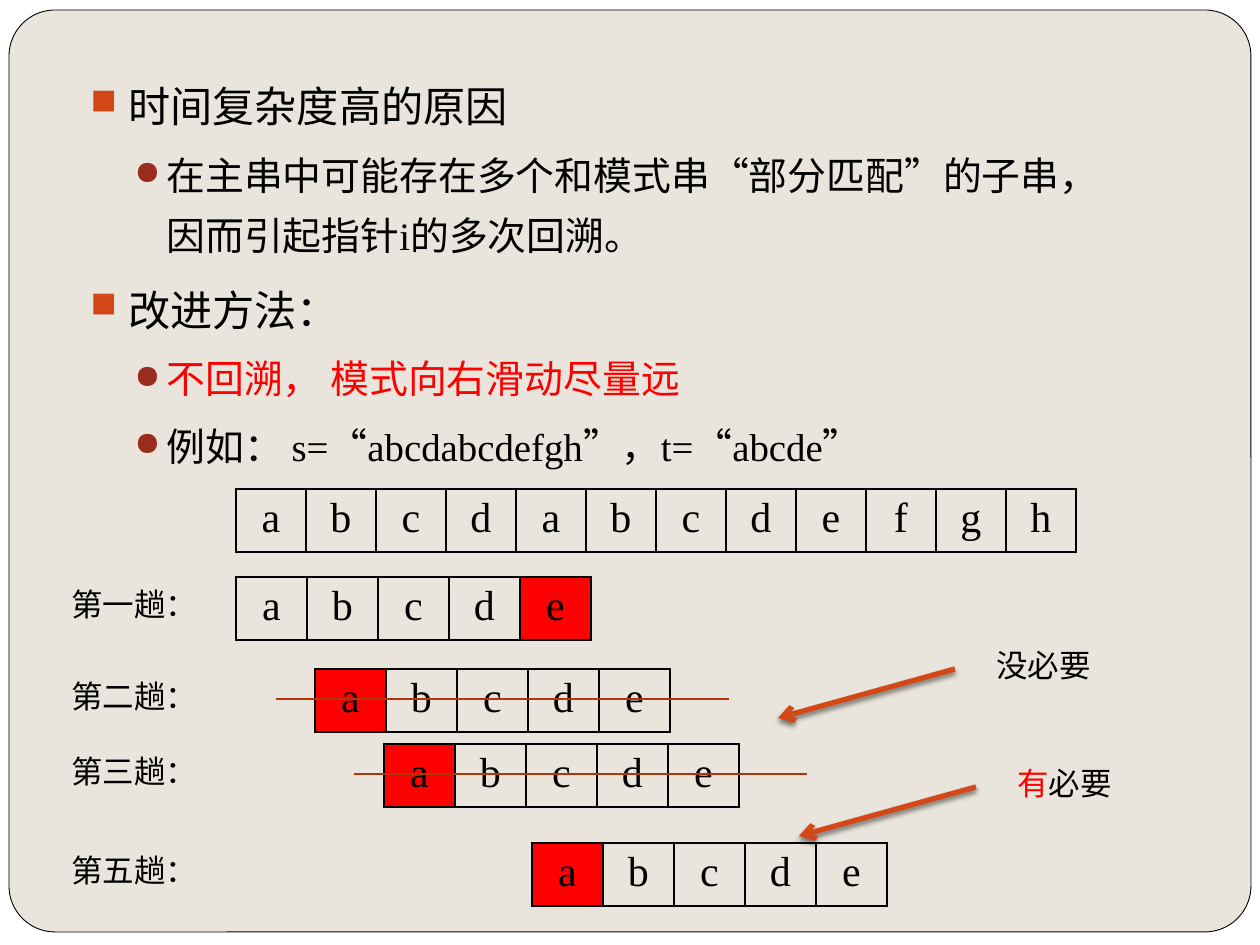
from lxml import etree
from pptx import Presentation
from pptx.dml.color import RGBColor
from pptx.enum.shapes import MSO_CONNECTOR as Connector, MSO_SHAPE as Shape
from pptx.enum.text import MSO_ANCHOR as Anchor, PP_ALIGN as Align
from pptx.oxml import parse_xml
from pptx.oxml.ns import nsdecls, qn
from pptx.util import Emu, Pt

PX = 914400 / 126
FONT = "Times New Roman"
BLACK, WHITE, RED, SAND = "000000", "FFFFFF", "FF0000", "E9E5DC"
ORANGE, RUST, MAROON = "D34817", "B1360B", "9B2D1F"

# bullet, bullet colour, margin, indent, text size, space before
LEVELS = [("■", ORANGE, 38, -38, 24.1, 5.8), ("●", MAROON, 76, -32, 22.2, 3.7)]
REASONS = [
    (0, "时间复杂度高的原因", BLACK),
    (1, "在主串中可能存在多个和模式串“部分匹配”的子串，因而引起指针i的多次回溯。", BLACK),
    (0, "改进方法：", BLACK),
    (1, "不回溯， 模式向右滑动尽量远", RED),
    (1, "例如： s=“abcdabcdefgh”，t=“abcde”", BLACK),
]
MAIN_STRING, PATTERN = "abcdabcdefgh", "abcde"
SHIFTED = {0: RED, 4: SAND}
# label, left, top, row height, cell fills, start of the strike line
PASSES = [
    ("第一趟：", 236, 577, 59, {4: RED}, None),
    ("第二趟：", 315, 669, 63, SHIFTED, 276),
    ("第三趟：", 384, 744, 63, SHIFTED, 354),
    ("第五趟：", 532, 843, 63, SHIFTED, None),
]
# arrow start, label place, label spans
VERDICTS = [
    ((955, 669), (984, 640), [("没必要", BLACK)]),
    ((976, 787), (1005, 758), [("有", RED), ("必要", BLACK)]),
]


def px(*lengths):
    return [Emu(round(length * PX)) for length in lengths]


def color(hex_text):
    return RGBColor.from_string(hex_text)


def add_span(para, text, size=18, hex_text=BLACK):
    span = para.add_run()
    span.text = text
    span.font.name, span.font.size = FONT, Pt(size)
    span.font.color.rgb = color(hex_text)
    return span


def add_bullet(para, mark, hex_text, margin, indent):
    props = para._p.get_or_add_pPr()
    left, first = px(margin, indent)
    props.set("marL", str(left))
    props.set("indent", str(first))
    bullet = f"""<a:pPr {nsdecls('a')}><a:buClr><a:srgbClr val="{hex_text}"/></a:buClr>
        <a:buSzPct val="85000"/><a:buChar char="{mark}"/></a:pPr>"""
    props.extend(list(parse_xml(bullet)))


def add_border(cell, hex_text=BLACK, width=1):
    props = cell._tc.get_or_add_tcPr()
    for index, side in enumerate(("lnL", "lnR", "lnT", "lnB")):
        props.insert(index, parse_xml(
            f'<a:{side} {nsdecls("a")} w="{Pt(width)}"><a:solidFill>'
            f'<a:srgbClr val="{hex_text}"/></a:solidFill></a:{side}>'))


class SlideWriter:
    """Holds the deck and the page that is being filled."""

    def __init__(self, width, height):
        self.deck = Presentation()
        self.deck.slide_width, self.deck.slide_height = px(width, height)
        self.page = self.deck.slides.add_slide(self.deck.slide_layouts[6])
        background = self.page.background.fill
        background.solid()
        background.fore_color.rgb = color(SAND)

    def panel(self, kind, place, fill, line=None):
        shape = self.page.shapes.add_shape(kind, *px(*place))
        shape.shadow.inherit = False
        shape.fill.solid()
        shape.fill.fore_color.rgb = color(fill)
        if line:
            shape.line.color.rgb, shape.line.width = color(line), Pt(0.5)
        else:
            shape.line.fill.background()
        return shape

    def frame(self, *place):
        frame = self.page.shapes.add_textbox(*px(*place)).text_frame
        frame.word_wrap = True
        return frame

    def outline(self, place, items):
        frame = self.frame(*place)
        for index, (level, text, hex_text) in enumerate(items):
            mark, mark_color, margin, indent, size, before = LEVELS[level]
            para = frame.add_paragraph() if index else frame.paragraphs[0]
            para.level = level
            para.line_spacing = 1.3
            para.space_before = Pt(before if index else 0)
            add_bullet(para, mark, mark_color, margin, indent)
            add_span(para, text, size=size, hex_text=hex_text)

    def label(self, left, top, width, spans):
        para = self.frame(left, top, width, 50).paragraphs[0]
        for text, hex_text in spans:
            add_span(para, text, hex_text=hex_text)

    def letters(self, text, left, top, cell_width, height, fills):
        """One table row with a letter in each cell."""
        place = px(left, top, cell_width * len(text), height)
        table = self.page.shapes.add_table(1, len(text), *place).table
        table.first_row = table.horz_banding = False
        for index, letter in enumerate(text):
            table.columns[index].width = px(cell_width)[0]
            cell = table.cell(0, index)
            cell.vertical_anchor = Anchor.TOP
            if index in fills:
                cell.fill.solid()
                cell.fill.fore_color.rgb = color(fills[index])
            else:
                cell.fill.background()
            add_border(cell)
            para = cell.text_frame.paragraphs[0]
            para.alignment = Align.CENTER
            add_span(para, letter, size=24)

    def line(self, start, end, hex_text, width):
        line = self.page.shapes.add_connector(Connector.STRAIGHT, *px(*start, *end))
        line.line.color.rgb, line.line.width = color(hex_text), Pt(width)
        effects = etree.SubElement(line._element.spPr, qn("a:effectLst"))
        return line, effects

    def arrow(self, start, end):
        line, effects = self.line(start, end, ORANGE, 3)
        etree.SubElement(line.line._get_or_add_ln(), qn("a:tailEnd"), type="arrow")
        effects.append(parse_xml(
            f'<a:outerShdw {nsdecls("a")} blurRad="{Pt(3)}" dist="{Pt(2)}" dir="5400000">'
            f'<a:srgbClr val="{BLACK}"><a:alpha val="50000"/></a:srgbClr></a:outerShdw>'))


def main():
    writer = SlideWriter(1260, 945)
    writer.panel(Shape.RECTANGLE, (0, 0, 1260, 945), WHITE)
    card = writer.panel(Shape.ROUNDED_RECTANGLE, (9, 10, 1242, 922), SAND, line=BLACK)
    card.adjustments[0] = 0.05

    writer.outline((78, 59, 1071, 433), REASONS)
    writer.letters(MAIN_STRING, 236, 489, 70, 63, {})
    for name, left, top, height, fills, strike in PASSES:
        writer.letters(PATTERN, left, top, 71, height, fills)
        writer.label(59, top + 2, 158, [(name, BLACK)])
        if strike:
            writer.line((strike, top + 30), (strike + 453, top + 30), RUST, 0.75)
    for (x, y), (left, top), spans in VERDICTS:
        writer.arrow((x, y), (x - 177, y + 49))
        writer.label(left, top, 168, spans)

    writer.deck.save("out.pptx")


if __name__ == "__main__":
    main()
